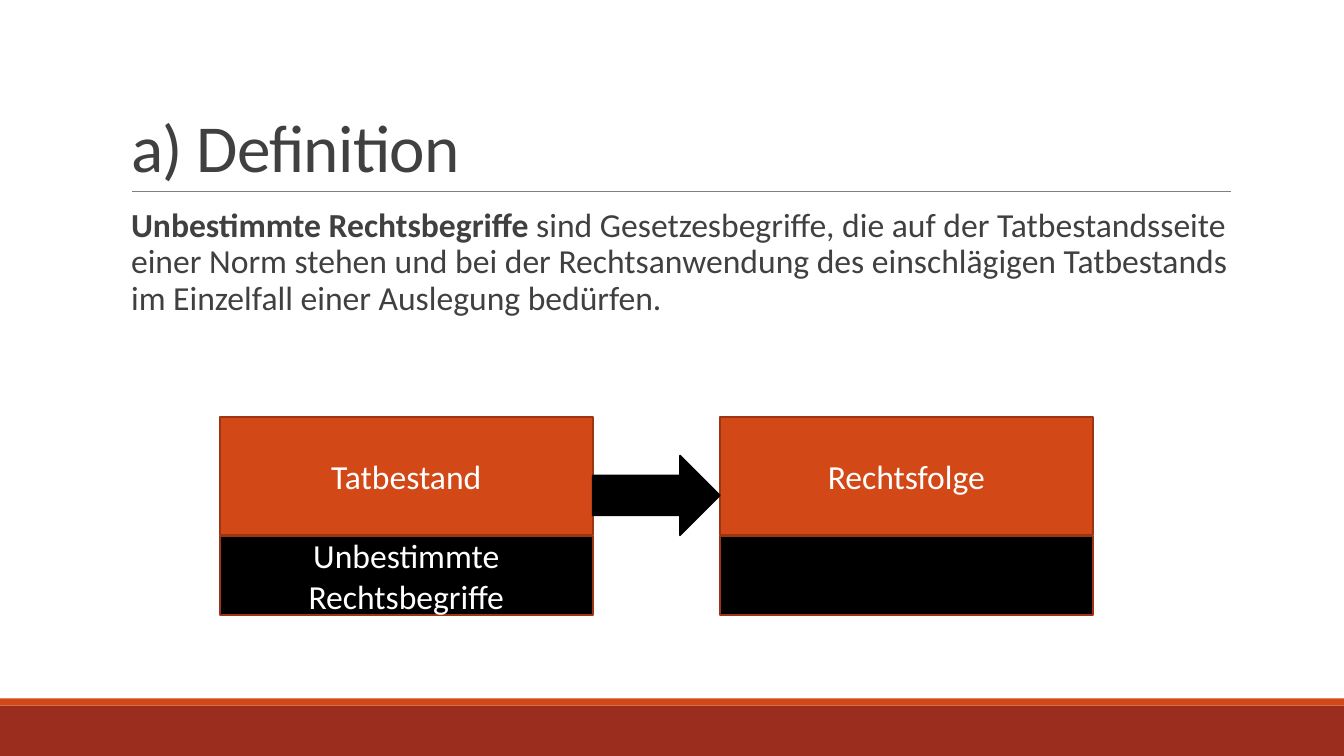
from lxml import etree
from pptx import Presentation
from pptx.dml.color import RGBColor
from pptx.enum.shapes import MSO_CONNECTOR, MSO_SHAPE
from pptx.enum.text import MSO_ANCHOR, MSO_AUTO_SIZE, PP_ALIGN
from pptx.oxml.ns import qn
from pptx.util import Inches, Pt

RECT, ARROW = MSO_SHAPE.RECTANGLE, MSO_SHAPE.RIGHT_ARROW
STRAIGHT = MSO_CONNECTOR.STRAIGHT
LEFT, CENTER = PP_ALIGN.LEFT, PP_ALIGN.CENTER
TOP, MIDDLE, BOTTOM = MSO_ANCHOR.TOP, MSO_ANCHOR.MIDDLE, MSO_ANCHOR.BOTTOM
NO_FIT = MSO_AUTO_SIZE.NONE

ORANGE, RUST, EDGE = "D34817", "9B2D1F", "9C3511"
BLACK, WHITE, INK, GRAY = "000000", "FFFFFF", "404040", "808080"


def rgb(code):
    """Turn a hex string into a colour."""
    return RGBColor.from_string(code)


def apply(target, formats):
    """Set every attribute of a format dict on the target."""
    for key, value in formats.items():
        setattr(target, key, value)


class SlideBuilder:
    """Holds the text style and the current slide."""

    font = "Calibri"

    def __init__(self, slide):
        """Keep the slide to draw on."""
        self.slide = slide

    def add_text(self, shape, runs, size, color, frame, paragraph):
        """Fill a shape with one paragraph of (text, bold) runs."""
        text_frame = shape.text_frame
        apply(text_frame, {"word_wrap": True, "auto_size": NO_FIT, **frame})
        line = text_frame.paragraphs[0]
        apply(line, paragraph)
        for text, bold in runs:
            run = line.add_run()
            run.text = text
            apply(run.font, {"name": self.font, "size": Pt(size), "bold": bold})
            run.font.color.rgb = rgb(color)
        return line

    def placeholder(self, index, box, *text_style):
        """Move a template placeholder to the box and fill in its text."""
        holder = self.slide.placeholders[index]
        places = map(Inches, box)
        apply(holder, dict(zip(("left", "top", "width", "height"), places)))
        return self.add_text(holder, *text_style)

    def title(self, text, box):
        """Place the slide title, slightly condensed."""
        line = self.placeholder(0, box, [(text, False)], 48, INK,
                                {"vertical_anchor": BOTTOM},
                                {"alignment": LEFT, "line_spacing": 0.85})
        line.runs[0].font._element.set("spc", "-50")

    def body(self, runs, box):
        """Place the body text with a blank hanging bullet."""
        line = self.placeholder(
            1, box, runs, 24, INK,
            {"vertical_anchor": TOP, "margin_left": 0, "margin_right": 0},
            {"alignment": LEFT, "line_spacing": 0.9,
             "space_before": Pt(12), "space_after": Pt(2)})
        properties = line._p.get_or_add_pPr()
        properties.set("marL", str(Inches(0.1)))
        properties.set("indent", str(Inches(-0.1)))
        etree.SubElement(properties, qn("a:buChar")).set("char", " ")

    def shape(self, kind, box, fill, edge=None, label=None):
        """Draw a filled preset shape, optionally outlined and labelled."""
        shape = self.slide.shapes.add_shape(kind, *map(Inches, box))
        shape.shadow.inherit = False
        shape.fill.solid()
        shape.fill.fore_color.rgb = rgb(fill)
        if edge:
            shape.line.color.rgb = rgb(edge)
            shape.line.width = Pt(1.25)
        else:
            shape.line.fill.background()
        if label:
            self.add_text(shape, [(label, False)], 24, WHITE,
                          {"vertical_anchor": MIDDLE}, {"alignment": CENTER})

    def rule(self, left, right, y):
        """Draw a thin horizontal line."""
        line = self.slide.shapes.add_connector(
            STRAIGHT, *map(Inches, (left, y, right, y)))
        line.line.color.rgb = rgb(GRAY)
        line.line.width = Pt(0.5)
        etree.SubElement(line._element.spPr, qn("a:effectLst"))


deck = Presentation()
deck.slide_width, deck.slide_height = Inches(13.33), Inches(7.5)
page = SlideBuilder(deck.slides.add_slide(deck.slide_layouts[1]))

page.shape(RECT, (0, 7, 13.33, 0.5), RUST)
page.shape(RECT, (0, 6.93, 13.33, 0.07), ORANGE)
page.rule(1.31, 12.21, 1.9)
page.title("a) Definition", (1.2, 0.31, 11, 1.59))
page.body([("Unbestimmte Rechtsbegriffe ", True),
           ("sind Gesetzesbegriffe, die auf der Tatbestandsseite einer Norm "
            "stehen und bei der Rechtsanwendung des einschlägigen Tatbestands "
            "im Einzelfall einer Auslegung bedürfen.", False)],
          (1.2, 2.02, 11, 4.4))

norm_left, norm_width, arrow_width = 2.18, 3.7, 1.26
norm_parts = [("Tatbestand", "Unbestimmte Rechtsbegriffe"),
              ("Rechtsfolge", None)]
for column, (part, detail) in enumerate(norm_parts):
    left = norm_left + column * (norm_width + arrow_width)
    page.shape(RECT, (left, 4.14, norm_width, 1.17), ORANGE, EDGE, part)
    page.shape(RECT, (left, 5.32, norm_width, 0.78), BLACK, EDGE, detail)
page.shape(ARROW, (norm_left + norm_width, 4.52, arrow_width, 0.79),
           BLACK, BLACK)

deck.save("out.pptx")
